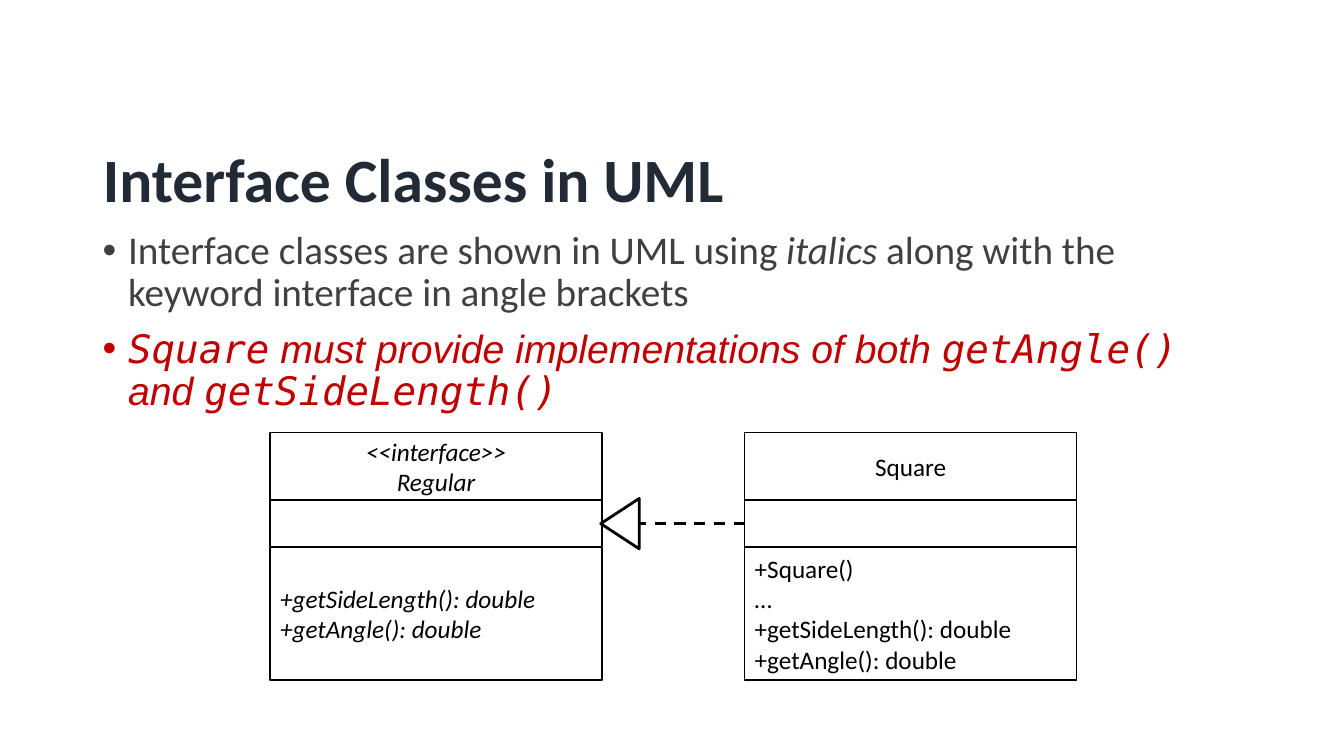
from dataclasses import dataclass

from lxml.etree import SubElement
from pptx import Presentation
from pptx.dml.color import RGBColor
from pptx.enum.dml import MSO_LINE
from pptx.enum.shapes import MSO_CONNECTOR, MSO_SHAPE
from pptx.enum.text import MSO_ANCHOR, MSO_AUTO_SIZE, PP_ALIGN
from pptx.oxml.ns import qn
from pptx.util import Cm, Pt

BLACK, WHITE, GREY, RED, NAVY = "000000", "FFFFFF", "404040", "C00000", "222A35"
SANS, BODY, MONO = "Calibri", "Arial", "DejaVu Sans Mono"

CLASS_TOP, CLASS_WIDTH = 10.9, 8.36
NAME_HEIGHT, FIELDS_HEIGHT, METHODS_HEIGHT = 1.7, 1.19, 3.35
ARROW_Y = CLASS_TOP + NAME_HEIGHT + FIELDS_HEIGHT / 2


@dataclass(frozen=True)
class Span:
    text: str
    font: str = SANS
    color: str = GREY
    italic: bool = False


@dataclass(frozen=True)
class UmlClass:
    left: float
    name: tuple[str, ...]
    methods: tuple[str, ...]
    italic: bool = False


BULLETS = (
    (
        Span("Interface classes are shown in UML using "),
        Span("italics", italic=True),
        Span(" along with the keyword interface in angle brackets"),
    ),
    (
        Span("Square", MONO, RED, True),
        Span(" must provide implementations of both ", BODY, RED, True),
        Span("getAngle()", MONO, RED, True),
        Span(" and ", BODY, RED, True),
        Span("getSideLength()", MONO, RED, True),
    ),
)
GETTERS = ("+getSideLength(): double", "+getAngle(): double")
REGULAR = UmlClass(6.81, ("<<interface>>", "Regular"), GETTERS, italic=True)
SQUARE = UmlClass(18.77, ("Square",), ("+Square()", "…", *GETTERS))


def rgb(color: str) -> RGBColor:
    return RGBColor.from_string(color)


def apply_format(target, values: dict) -> None:
    for name, value in values.items():
        setattr(target, name, value)


def add_run(paragraph, span: Span, size: float, bold: bool = False) -> None:
    run = paragraph.add_run()
    run.text = span.text
    apply_format(run.font, {"name": span.font, "size": Pt(size),
                            "bold": bold, "italic": span.italic})
    run.font.color.rgb = rgb(span.color)


def next_paragraph(frame, index: int):
    return frame.add_paragraph() if index else frame.paragraphs[0]


def outline(shape, width: float) -> None:
    shape.line.color.rgb = rgb(BLACK)
    shape.line.width = Pt(width)


def add_title(slide) -> None:
    title = slide.shapes.title
    apply_format(title, {"left": Cm(2.34), "top": Cm(3.63),
                         "width": Cm(29.21), "height": Cm(1.7)})
    frame = title.text_frame
    apply_format(frame, {"word_wrap": True, "auto_size": MSO_AUTO_SIZE.NONE,
                         "vertical_anchor": MSO_ANCHOR.TOP})
    paragraph = frame.paragraphs[0]
    apply_format(paragraph, {"alignment": PP_ALIGN.LEFT, "line_spacing": 0.9})
    add_run(paragraph, Span("Interface Classes in UML", color=NAVY), 44, bold=True)


def add_bullets(slide) -> None:
    frame = slide.shapes.add_textbox(Cm(2.34), Cm(5.69), Cm(29.21), Cm(4.75)).text_frame
    frame.word_wrap = True
    for index, spans in enumerate(BULLETS):
        paragraph = next_paragraph(frame, index)
        apply_format(paragraph, {"line_spacing": 0.9, "space_before": Pt(10)})
        properties = paragraph._p.get_or_add_pPr()
        properties.set("marL", str(Cm(0.64)))
        properties.set("indent", str(-Cm(0.64)))
        SubElement(properties, qn("a:buFont"), typeface=BODY)
        SubElement(properties, qn("a:buChar"), char="•")
        for span in spans:
            add_run(paragraph, span, 28)


def add_compartment(slide, left: float, top: float, height: float,
                    lines: tuple[str, ...], alignment, italic: bool) -> None:
    box = slide.shapes.add_shape(MSO_SHAPE.RECTANGLE, Cm(left), Cm(top),
                                 Cm(CLASS_WIDTH), Cm(height))
    box.shadow.inherit = False
    box.fill.background()
    outline(box, 1)
    frame = box.text_frame
    apply_format(frame, {"word_wrap": True, "vertical_anchor": MSO_ANCHOR.MIDDLE})
    for index, line in enumerate(lines):
        paragraph = next_paragraph(frame, index)
        paragraph.alignment = alignment
        add_run(paragraph, Span(line, color=BLACK, italic=italic), 18)


def add_class(slide, uml_class: UmlClass) -> None:
    top = CLASS_TOP
    for height, lines, alignment in (
        (NAME_HEIGHT, uml_class.name, PP_ALIGN.CENTER),
        (FIELDS_HEIGHT, (), PP_ALIGN.LEFT),
        (METHODS_HEIGHT, uml_class.methods, PP_ALIGN.LEFT),
    ):
        add_compartment(slide, uml_class.left, top, height, lines, alignment,
                        uml_class.italic)
        top += height


def add_realization(slide) -> None:
    """Draw the dashed UML arrow from the class to its interface."""
    interface_edge = REGULAR.left + CLASS_WIDTH
    connector = slide.shapes.add_connector(
        MSO_CONNECTOR.STRAIGHT, Cm(SQUARE.left), Cm(ARROW_Y),
        Cm(interface_edge), Cm(ARROW_Y))
    outline(connector, 2)
    connector.line.dash_style = MSO_LINE.DASH
    SubElement(connector._element.spPr, qn("a:effectLst"))

    width, height = 1.27, 0.97
    center_x = interface_edge + height / 2 - 0.03
    head = slide.shapes.add_shape(
        MSO_SHAPE.ISOSCELES_TRIANGLE, Cm(center_x - width / 2),
        Cm(ARROW_Y - height / 2), Cm(width), Cm(height))
    head.rotation = 270
    head.shadow.inherit = False
    head.fill.solid()
    head.fill.fore_color.rgb = rgb(WHITE)
    outline(head, 2)


def main() -> None:
    presentation = Presentation()
    apply_format(presentation, {"slide_width": Cm(33.87), "slide_height": Cm(19.05)})
    slide = presentation.slides.add_slide(presentation.slide_layouts.get_by_name("Title Only"))
    add_title(slide)
    add_bullets(slide)
    for uml_class in (REGULAR, SQUARE):
        add_class(slide, uml_class)
    add_realization(slide)
    presentation.save("out.pptx")


if __name__ == "__main__":
    main()
